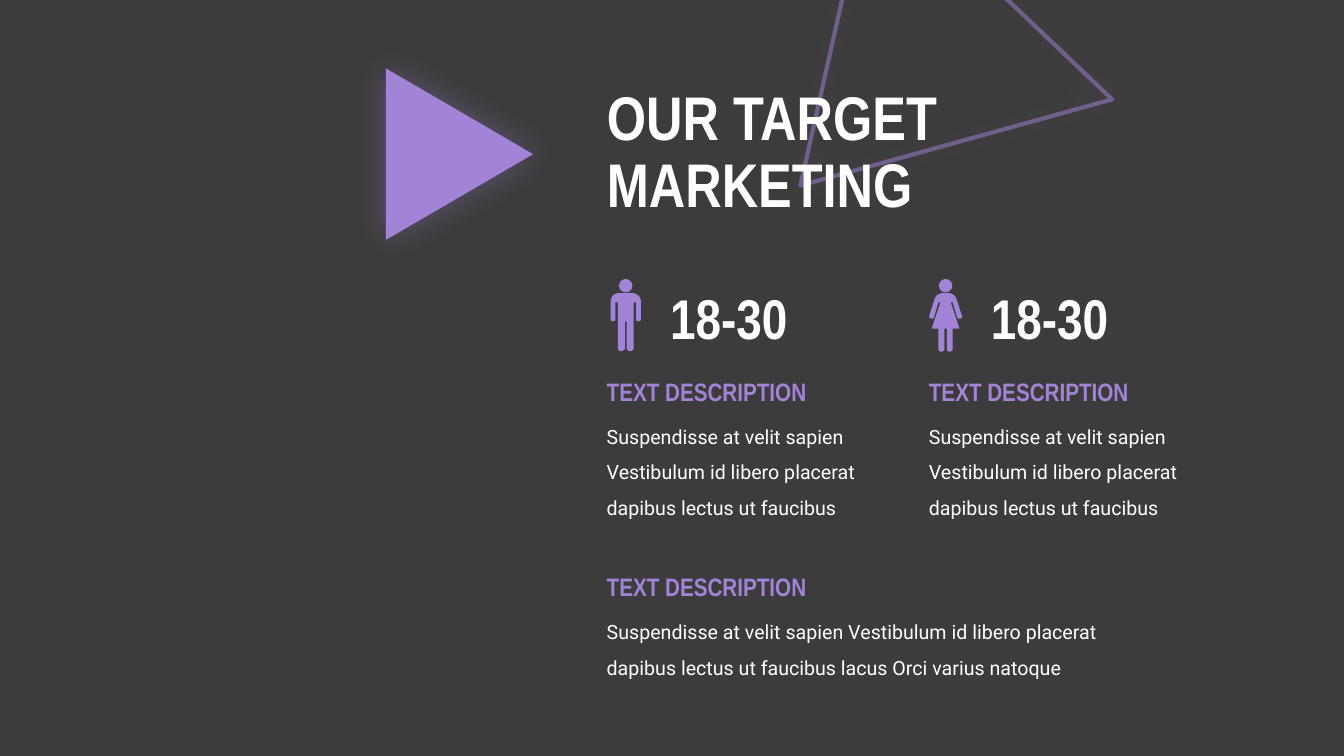
from math import cos, sin, radians
from lxml.etree import SubElement
from pptx import Presentation
from pptx.dml.color import RGBColor
from pptx.enum.shapes import MSO_SHAPE as Shape
from pptx.enum.text import MSO_ANCHOR as Anchor, MSO_AUTO_SIZE as Fit, PP_ALIGN as Align
from pptx.oxml.ns import qn
from pptx.util import Cm, Pt

# Content
TITLE = "OUR TARGET\vMARKETING"
HEAD = "TEXT DESCRIPTION"
BODY = "Suspendisse at velit sapien Vestibulum id libero placerat dapibus lectus ut faucibus"
MORE = BODY + " lacus Orci varius natoque"
GROUPS = [("man", "18-30"), ("woman", "18-30")]
COLORS = {"back": "3C3C3C", "accent": "A284D7", "text": "FFFFFF"}
BOLD, PLAIN = "Arial Narrow", "Roboto"

# Layout in centimetres
LEFT, STEP = 15.04, 8.12
TOP, LOW = 9.35, 14.27


def color(name):
    return RGBColor.from_string(COLORS[name])


def arc(x, y, r, start, end, steps=12):
    turns = [radians(start + (end - start) * i / steps) for i in range(steps + 1)]
    return [(x + r * cos(t), y + r * sin(t)) for t in turns]


# Right halves of the figures, in hundredths of a centimetre from the neck
FIGURES = {
    "man": [(0, 0), *arc(18, 20, 20, -90, 0), *arc(32, 64, 6.5, 0, 180),
            (25.5, 23), (20, 23), *arc(11, 137, 9, 0, 180), (2, 71), (0, 71)],
    "woman": [(0, 0), *arc(8, 20, 20, -90, -20), *arc(35, 58, 6.5, -20, 160),
              (18, 23), (13, 23), (35, 89), (18, 89),
              *arc(10.5, 140, 7.5, 0, 180), (3, 89), (0, 89)],
}

deck = Presentation()
deck.slide_width, deck.slide_height = Cm(33.87), Cm(19.05)
slide = deck.slides.add_slide(deck.slide_layouts[5])
slide.background.fill.solid()
slide.background.fill.fore_color.rgb = color("back")
shapes = slide.shapes


def paint(shape):
    shape.shadow.inherit = False
    shape.fill.solid()
    shape.fill.fore_color.rgb = color("accent")
    shape.line.fill.background()


def fade(parent, percent):
    SubElement(parent, qn("a:alpha"), val=str(percent * 1000))


def glow(shape):
    shape.shadow.inherit = False
    effects = shape.element.spPr.find(qn("a:effectLst"))
    shade = SubElement(effects, qn("a:outerShdw"), blurRad=str(Pt(25)), dist="0",
                       dir="0", algn="ctr", rotWithShape="0")
    fade(SubElement(shade, qn("a:srgbClr"), val=COLORS["accent"]), 35)


def style(frame, text, size, font, tone, space=None):
    frame.word_wrap = True
    frame.text = text
    para = frame.paragraphs[0]
    para.alignment = Align.LEFT
    if space:
        para.line_spacing = space
    for run in para.runs:
        run.font.size, run.font.name = Pt(size), font
        run.font.bold = font == BOLD
        run.font.color.rgb = color(tone)


def write(x, y, w, h, *look):
    box = shapes.add_textbox(Cm(x), Cm(y), Cm(w), Cm(h))
    style(box.text_frame, *look)


def describe(x, y, w, h, text):
    write(x, y, 6.22, 1.02, HEAD, 18, BOLD, "accent")
    write(x, y + 0.94, w, h, text, 14, PLAIN, "text", 1.5)


def draw(kind, mid):
    head = shapes.add_shape(Shape.OVAL, Cm(mid - 0.17), Cm(7.03), Cm(0.34), Cm(0.34))
    half = FIGURES[kind]
    path = half + [(-x, y) for x, y in reversed(half)]
    pen = shapes.build_freeform(*path[0], scale=Cm(0.01))
    pen.add_line_segments(path[1:], close=True)
    paint(head)
    paint(pen.convert_to_shape(Cm(mid), Cm(7.39)))


# Title and triangles
title = shapes.title
title.left, title.top, title.width, title.height = Cm(LEFT), Cm(1.88), Cm(14.27), Cm(4.01)
style(title.text_frame, TITLE, 44, BOLD, "text", 0.9)
title.text_frame.vertical_anchor = Anchor.MIDDLE
title.text_frame.auto_size = Fit.NONE

frame = shapes.add_shape(Shape.ISOSCELES_TRIANGLE, Cm(18.39), Cm(-1.35), Cm(8.38), Cm(6.99))
frame.rotation = 223.6
frame.fill.background()
frame.line.width = Pt(3)
frame.line.color.rgb = color("accent")
fade(frame.element.spPr.find(".//" + qn("a:srgbClr")), 50)
glow(frame)
title.element.addprevious(frame.element)

arrow = shapes.add_shape(Shape.ISOSCELES_TRIANGLE, Cm(9.42), Cm(2.03), Cm(4.32), Cm(3.71))
arrow.rotation = 90
paint(arrow)
glow(arrow)

# Audience columns
for i, (kind, ages) in enumerate(GROUPS):
    x = LEFT + i * STEP
    draw(kind, 15.77 + i * 8.06)
    write(16.64 + i * 8.08, 7.01, 4.55, 1.96, ages, 40, BOLD, "text")
    describe(x, TOP, 7.26, 2.84, BODY)

# Closing description
describe(LEFT, LOW, 13.03, 1.96, MORE)

deck.save("out.pptx")
